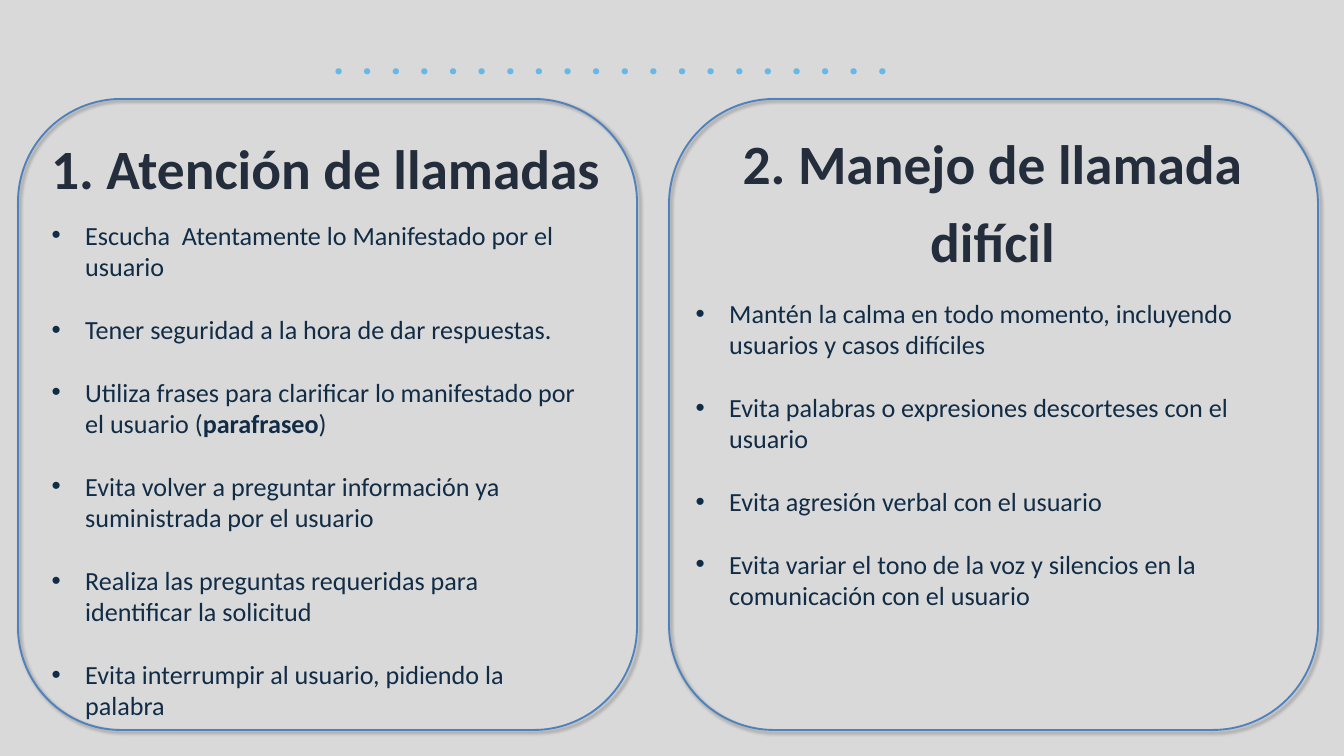
from lxml import etree
from pptx import Presentation
from pptx.dml.color import RGBColor
from pptx.enum.shapes import MSO_SHAPE
from pptx.enum.text import MSO_AUTO_SIZE, PP_ALIGN
from pptx.oxml.ns import qn
from pptx.util import Emu, Pt

ROUNDED = MSO_SHAPE.ROUNDED_RECTANGLE
GROW = MSO_AUTO_SIZE.SHAPE_TO_FIT_TEXT
CENTER = PP_ALIGN.CENTER
PX = 914400 / 67.2

GREY = RGBColor(0xD9, 0xD9, 0xD9)
SKY = RGBColor(0x65, 0xB8, 0xE8)
BLUE = RGBColor(0x4F, 0x81, 0xBD)
TITLE_INK = RGBColor(0x24, 0x2D, 0x3C)
BODY_INK = RGBColor(0x11, 0x2C, 0x46)

CARDS = [
    {
        "panel": (18, 99, 619, 631),
        "title_box": (22, 123, 607, 78),
        "title": "1. Atención de llamadas",
        "list_box": (45, 216, 543, 513),
        "items": [
            ["Escucha  Atentamente lo Manifestado por el usuario"],
            ["Tener seguridad a la hora de dar respuestas."],
            ["Utiliza frases para clarificar lo manifestado por el usuario (",
             "parafraseo", ")"],
            ["Evita volver a preguntar información ya suministrada por el usuario"],
            ["Realiza las preguntas requeridas para identificar la solicitud"],
            ["Evita interrumpir al usuario, pidiendo la palabra"],
        ],
    },
    {
        "panel": (669, 99, 649, 631),
        "title_box": (689, 118, 607, 157),
        "title": "2. Manejo de llamada difícil",
        "list_box": (689, 294, 607, 323),
        "items": [
            ["Mantén la calma en todo momento, incluyendo usuarios y casos difíciles"],
            ["Evita palabras o expresiones descorteses con el usuario"],
            ["Evita agresión verbal con el usuario"],
            ["Evita variar el tono de la voz y silencios en la comunicación con el usuario"],
        ],
    },
]


def px(*lengths):
    """Turn picture pixels into EMU."""
    return [Emu(round(n * PX)) for n in lengths]


def add_run(p, text, size, color, font="Calibri", bold=False):
    """Append one styled run to a paragraph."""
    r = p.add_run()
    r.text = text
    r.font.name = font
    r.font.size = Pt(size)
    r.font.bold = bold
    r.font.color.rgb = color


def add_text_box(s, box, wrap=True):
    """Add an empty text box that grows with its text."""
    tf = s.shapes.add_textbox(*px(*box)).text_frame
    tf.word_wrap = wrap
    tf.auto_size = GROW
    return tf


def add_dots(s):
    """Add the row of dots at the top."""
    tf = add_text_box(s, (325, 15, 720, 75), wrap=False)
    add_run(tf.paragraphs[0], " ".join("." * 20), 60, SKY, "Roboto")


def add_title(s, box, text):
    """Add a centred card title."""
    tf = add_text_box(s, box)
    tf.margin_left = tf.margin_right = tf.margin_top = tf.margin_bottom = 0
    p = tf.paragraphs[0]
    p.alignment = CENTER
    p.line_spacing = Pt(83.2)
    add_run(p, text, 59.4, TITLE_INK, bold=True)


def add_bullets(s, box, items):
    """Add a bulleted list whose odd-numbered runs are bold."""
    tf = add_text_box(s, box)
    for i, runs in enumerate(items):
        p = tf.add_paragraph() if i else tf.paragraphs[0]
        if i < len(items) - 1:
            p.space_after = Pt(33.6)
        pPr = p._p.get_or_add_pPr()
        pPr.set("marL", "457200")
        pPr.set("indent", "-457200")
        etree.SubElement(pPr, qn("a:buFont"), typeface="Arial")
        etree.SubElement(pPr, qn("a:buChar"), char="•")
        for j, text in enumerate(runs):
            add_run(p, text, 28, BODY_INK, bold=j % 2 == 1)


def add_panel(s, box):
    """Add an unfilled rounded outline with a soft shadow."""
    sp = s.shapes.add_shape(ROUNDED, *px(*box))
    sp.fill.background()
    sp.line.color.rgb = BLUE
    sp.line.width = Pt(2)
    sp.shadow.inherit = False
    effects = sp._element.spPr.find(qn("a:effectLst"))
    shadow = etree.SubElement(effects, qn("a:outerShdw"), blurRad=str(Pt(4)),
                              dist=str(Pt(3)), dir="2700000", algn="tl",
                              rotWithShape="0")
    color = etree.SubElement(shadow, qn("a:srgbClr"), val="000000")
    etree.SubElement(color, qn("a:alpha"), val="40000")


def main():
    """Build the slide and save it."""
    prs = Presentation()
    prs.slide_width, prs.slide_height = px(1344, 756)
    s = prs.slides.add_slide(prs.slide_layouts[6])
    s.background.fill.solid()
    s.background.fill.fore_color.rgb = GREY
    add_dots(s)
    for card in CARDS:
        add_title(s, card["title_box"], card["title"])
        add_bullets(s, card["list_box"], card["items"])
    for card in CARDS:
        add_panel(s, card["panel"])
    prs.save("out.pptx")


main()
